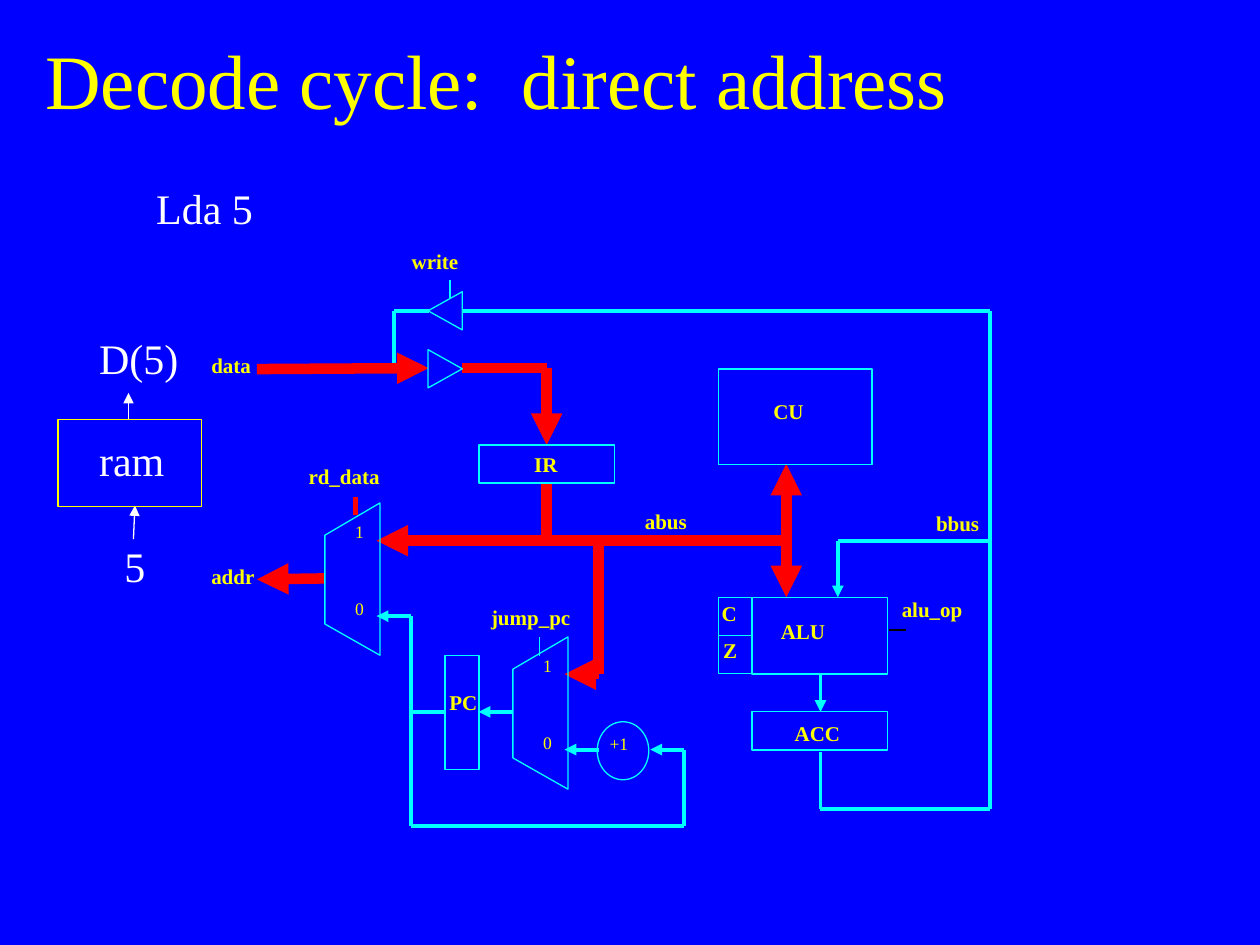
"""Build a slide showing the decode cycle of a simple processor with a direct address."""
from dataclasses import dataclass
from itertools import pairwise

from lxml.etree import SubElement
from pptx import Presentation
from pptx.dml.color import RGBColor as RGB
from pptx.enum.shapes import MSO_CONNECTOR as CONNECTOR, MSO_SHAPE as SHAPE
from pptx.enum.text import MSO_ANCHOR as ANCHOR, MSO_AUTO_SIZE as AUTO_SIZE, PP_ALIGN as ALIGN
from pptx.oxml.ns import qn
from pptx.util import Cm, Pt


@dataclass(frozen=True)
class Theme:
    font: str = "Times New Roman"
    back: RGB = RGB(0x00, 0x00, 0xFF)
    label: RGB = RGB(0xFF, 0xFF, 0x00)
    wire: RGB = RGB(0x00, 0xFF, 0xFF)
    active: RGB = RGB(0xFF, 0x00, 0x00)
    memory: RGB = RGB(0xFF, 0xFF, 0xFF)
    black: RGB = RGB(0x00, 0x00, 0x00)
    title_size: float = 44
    memory_size: float = 24
    label_size: float = 12
    pin_size: float = 10
    thin: float = 0.75
    bus: float = 2.25
    control: float = 3
    thick: float = 6


T = Theme()


@dataclass(frozen=True)
class Wire:
    points: tuple
    color: RGB = T.wire
    width: float = T.bus
    arrow: bool = False


@dataclass(frozen=True)
class Block:
    x: float
    y: float
    w: float
    h: float
    kind: SHAPE = SHAPE.RECTANGLE
    turn: float = 0
    color: RGB = T.wire
    width: float = T.thin


@dataclass(frozen=True)
class Label:
    text: str
    x: float
    y: float
    w: float = 1.37
    h: float = 1.16
    size: float = T.label_size
    color: RGB = T.label
    bold: bool = True


def active(*points: tuple, arrow: bool = True) -> Wire:
    return Wire(points, T.active, T.thick, arrow)


def memory(text: str, x: float, y: float, w: float) -> Label:
    return Label(text, x, y, w, 1.27, T.memory_size, T.memory, False)


def pin(text: str, x: float, y: float) -> Label:
    return Label(text, x, y, size=T.pin_size, bold=False)


WIRES = (
    active((15.85, 10.9), (15.85, 12.04)),
    active((15.85, 10.9), (7.59, 10.9)),
    active((12.07, 10.9), (12.07, 13.59), arrow=False),
    active((12.07, 13.59), (11.38, 13.59)),
    active((11.02, 9.73), (11.02, 10.9), arrow=False),
    active((15.85, 10.9), (15.85, 9.35)),
    active((6.55, 11.66), (5.18, 11.68)),
    active((9.32, 7.42), (11.02, 7.42), (11.02, 8.97)),
    Wire(((9.32, 6.27), (19.96, 6.27), (19.96, 10.9), (16.89, 10.9), (16.89, 12.04)), arrow=True),
    Wire(((19.96, 10.9), (19.96, 16.31), (16.54, 16.31), (16.54, 15.16))),
    Wire(((16.54, 13.59), (16.54, 14.35)), arrow=True),
    Wire(((10.34, 14.35), (9.65, 14.35)), arrow=True),
    Wire(((8.97, 14.35), (8.28, 14.35))),
    Wire(((8.28, 14.35), (8.28, 16.66), (13.79, 16.66), (13.79, 15.11), (13.11, 15.11)), arrow=True),
    Wire(((12.07, 15.11), (11.38, 15.11)), arrow=True),
    Wire(((8.28, 14.35), (8.28, 12.42), (7.59, 12.42)), arrow=True),
    Wire(((8.64, 6.27), (7.94, 6.27), (7.94, 7.42))),
    active((5.18, 7.44), (8.64, 7.42)),
    Wire(((7.16, 10.01), (7.16, 10.39)), T.active, T.control),
    Wire(((9.07, 5.64), (9.07, 6.02)), width=T.thin),
    Wire(((18.26, 12.7), (17.93, 12.7)), T.black, T.thin),
    Wire(((10.87, 12.85), (10.87, 13.23)), width=T.thin),
    Wire(((2.59, 8.46), (2.59, 7.92)), T.memory, T.thin, True),
    Wire(((2.69, 10.87), (2.72, 10.19)), T.memory, T.thin, True),
)

BLOCKS = (
    Block(14.48, 7.44, 3.1, 1.93),
    Block(15.16, 12.04, 2.74, 1.55),
    Block(15.16, 14.35, 2.74, 0.77),
    Block(14.48, 12.04, 0.69, 0.77),
    Block(14.48, 12.81, 0.69, 0.77),
    Block(8.97, 13.21, 0.69, 2.31),
    Block(9.65, 8.97, 2.74, 0.77, width=1),
    Block(8.59, 5.92, 0.77, 0.69, SHAPE.ISOSCELES_TRIANGLE, 270),
    Block(8.59, 7.09, 0.77, 0.69, SHAPE.ISOSCELES_TRIANGLE, 90),
    Block(12.04, 14.55, 1.04, 1.17, SHAPE.OVAL),
    Block(1.17, 8.46, 2.9, 1.75, color=T.label),
)

MUXES = ((6.55, 10.14), (10.34, 12.84))

LABELS = (
    Label("CU", 15.34, 7.9),
    Label("ALU", 15.49, 12.34, 2.06),
    Label("ACC", 15.77, 14.4, 1.73),
    Label("IR", 10.52, 8.97),
    pin("+1", 12.04, 14.66),
    Label("PC", 8.81, 13.77),
    Label("rd_data", 5.97, 9.22, 2.41),
    Label("write", 8.05, 4.88, 2.06),
    Label("alu_op", 17.93, 11.91, 2.41),
    Label("abus", 12.75, 10.13, 2.06),
    Label("bbus", 18.62, 10.16, 2.06),
    Label("jump_pc", 9.65, 12.07, 2.41),
    Label("C", 14.3, 11.99),
    Label("Z", 14.33, 12.73),
    Label("addr", 4.01, 11.23, 1.73),
    Label("data", 4.01, 6.99, 1.73),
    memory("Lda 5", 2.9, 3.56, 9.04),
    memory("5", 2.26, 10.77, 1.6),
    memory("D(5)", 1.75, 6.58, 2.18),
    memory("ram", 1.75, 8.64, 2.01),
)


def style_outline(sp, color: RGB, width: float) -> None:
    sp.fill.background()
    sp.line.color.rgb = color
    sp.line.width = Pt(width)
    sp.shadow.inherit = False


def style_text(p, size: float, color: RGB, bold: bool = False) -> None:
    p.alignment = ALIGN.LEFT
    p.font.name = T.font
    p.font.size = Pt(size)
    p.font.bold = bold
    p.font.color.rgb = color


def draw_wire(s, wire: Wire) -> None:
    for start, end in pairwise(wire.points):
        sp = s.shapes.add_connector(CONNECTOR.STRAIGHT, *map(Cm, start + end))
        sp.line.color.rgb = wire.color
        sp.line.width = Pt(wire.width)
        props = sp._element.spPr
        if wire.arrow and end == wire.points[-1]:
            SubElement(props.find(qn("a:ln")), qn("a:tailEnd"), type="triangle")
        SubElement(props, qn("a:effectLst"))


def draw_block(s, block: Block) -> None:
    sp = s.shapes.add_shape(block.kind, Cm(block.x), Cm(block.y), Cm(block.w), Cm(block.h))
    sp.rotation = block.turn
    style_outline(sp, block.color, block.width)


def draw_label(s, label: Label) -> None:
    sp = s.shapes.add_textbox(Cm(label.x), Cm(label.y), Cm(label.w), Cm(label.h))
    tf = sp.text_frame
    tf.word_wrap = True
    tf.text = label.text
    style_text(tf.paragraphs[0], label.size, label.color, label.bold)


def draw_mux(s, x: float, y: float) -> None:
    right = x + 1.11
    outline = s.shapes.build_freeform(Cm(right), Cm(y))
    corners = ((right, y + 3.07), (x, y + 2.44), (x, y + 0.65))
    outline.add_line_segments([(Cm(cx), Cm(cy)) for cx, cy in corners], close=True)
    style_outline(outline.convert_to_shape(), T.wire, T.thin)
    draw_label(s, pin("1", x + 0.36, y + 0.24))
    draw_label(s, pin("0", x + 0.36, y + 1.79))


def draw_title(s, text: str) -> None:
    sp = s.shapes.title
    sp.left, sp.top, sp.width, sp.height = Cm(0.66), Cm(0), Cm(21.59), Cm(3.18)
    tf = sp.text_frame
    tf.text = text
    tf.auto_size = AUTO_SIZE.NONE
    tf.vertical_anchor = ANCHOR.MIDDLE
    style_text(tf.paragraphs[0], T.title_size, T.label)


def main() -> None:
    prs = Presentation()
    prs.slide_width, prs.slide_height = Cm(25.4), Cm(19.05)
    s = prs.slides.add_slide(prs.slide_layouts[5])
    s.background.fill.solid()
    s.background.fill.fore_color.rgb = T.back
    draw_title(s, "Decode cycle:  direct address")
    for draw, items in ((draw_wire, WIRES), (draw_block, BLOCKS), (draw_label, LABELS)):
        for item in items:
            draw(s, item)
    for x, y in MUXES:
        draw_mux(s, x, y)
    prs.save("out.pptx")


if __name__ == "__main__":
    main()
